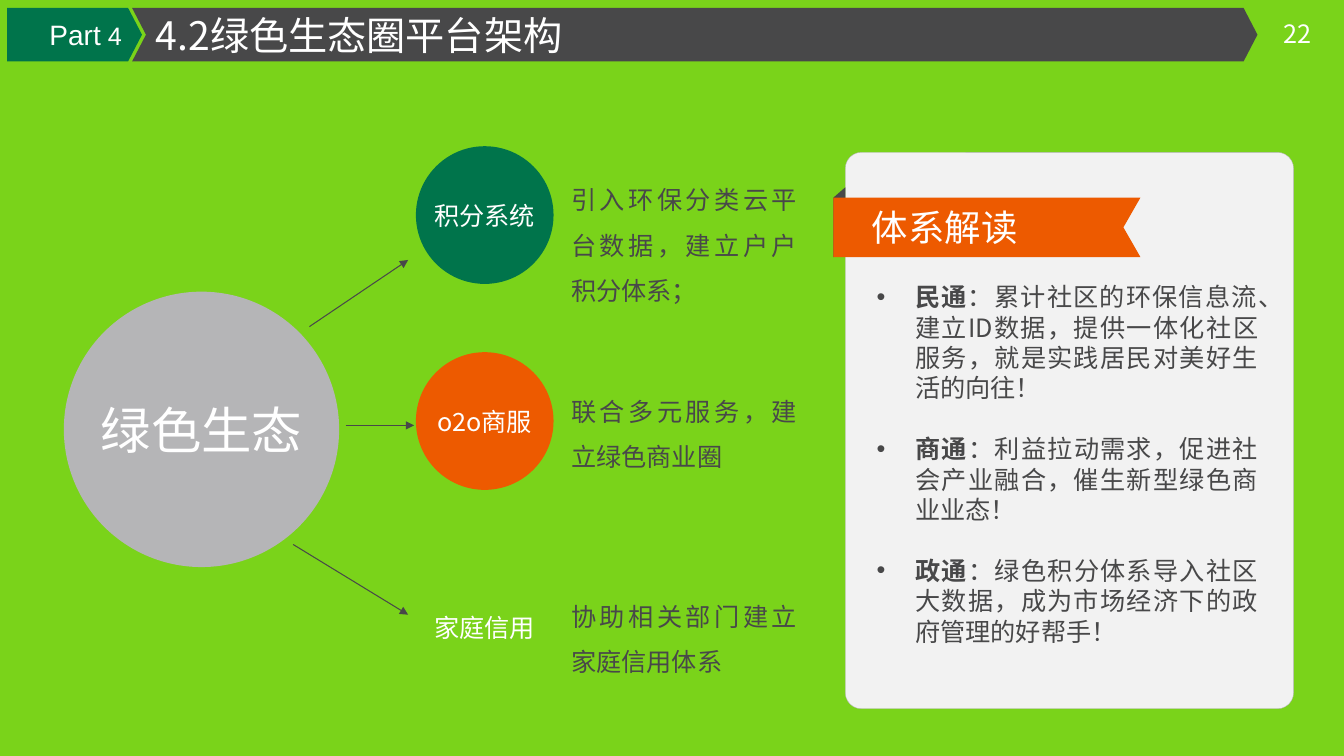
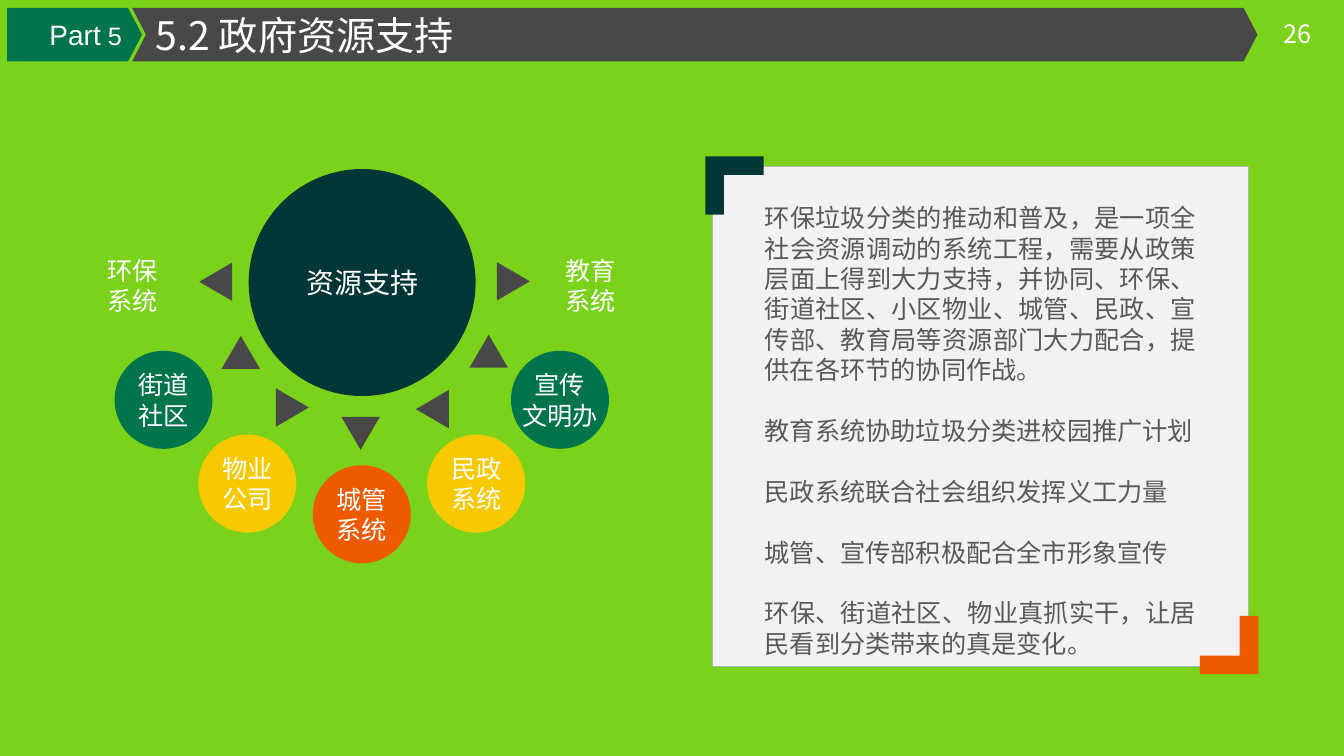
import math
from dataclasses import dataclass

from lxml import etree
from pptx import Presentation
from pptx import util as u
from pptx.dml.color import RGBColor
from pptx.enum import shapes, text
from pptx.oxml import ns

KIND = shapes.MSO_SHAPE
ALIGN = text.PP_ALIGN
ANCHOR = text.MSO_ANCHOR


@dataclass(frozen=True)
class Theme:
    background: str = "7AD31A"
    band: str = "484849"
    green: str = "00744B"
    orange: str = "ED5A00"
    yellow: str = "F9C900"
    deep: str = "003636"
    gray: str = "B5B5B7"
    paper: str = "F2F2F2"
    body: str = "595959"
    white: str = "FFFFFF"
    font: str = "Noto Sans CJK SC"
    latin: str = "Arial"
    hub: int = 36
    title: int = 28
    ribbon: int = 26
    label: int = 20
    text: int = 18
    line: float = 21.7
    loose_line: float = 32.5


THEME = Theme()


def assign(target, values):
    for name, value in values.items():
        setattr(target, name, value)


def write(shape, paragraphs, size=THEME.text, color=THEME.white, align=ALIGN.CENTER,
          anchor=ANCHOR.MIDDLE, wrap=True, margins=(0, 0, 0, 0), line=None, gap=0,
          bullet=False):
    frame = shape.text_frame
    left, top, right, bottom = (u.Cm(margin) for margin in margins)
    assign(frame, dict(word_wrap=wrap, auto_size=text.MSO_AUTO_SIZE.NONE,
                       vertical_anchor=anchor, margin_left=left, margin_top=top,
                       margin_right=right, margin_bottom=bottom))
    for index, runs in enumerate(paragraphs):
        paragraph = frame.paragraphs[0] if index == 0 else frame.add_paragraph()
        paragraph.alignment = align
        if line:
            paragraph.line_spacing = u.Pt(line)
        if gap and index:
            paragraph.space_before = u.Pt(gap)
        if bullet:
            add_bullet(paragraph)
        for content, changes in ([(runs, {})] if isinstance(runs, str) else runs):
            run = paragraph.add_run()
            run.text = content
            assign(run.font, dict(name=THEME.font, size=u.Pt(size)) | changes)
            run.font.color.rgb = RGBColor.from_string(color)
            east_asian = etree.SubElement(run._r.get_or_add_rPr(), ns.qn("a:ea"))
            east_asian.set("typeface", run.font.name)


def add_bullet(paragraph):
    properties = paragraph._p.get_or_add_pPr()
    properties.set("marL", str(u.Cm(0.97)))
    properties.set("indent", str(u.Cm(-0.97)))
    etree.SubElement(properties, ns.qn("a:buFont")).set("typeface", THEME.latin)
    etree.SubElement(properties, ns.qn("a:buChar")).set("char", "•")


def paint(shape, fill, outline=None, width=0.75):
    shape.shadow.inherit = False
    shape.fill.solid()
    shape.fill.fore_color.rgb = RGBColor.from_string(fill)
    if outline:
        shape.line.color.rgb = RGBColor.from_string(outline)
        shape.line.width = u.Pt(width)
    else:
        shape.line.fill.background()
    return shape


def add_shape(slide, kind, box, fill, adjustments=(), rotation=0, **outline):
    shape = slide.shapes.add_shape(kind, *map(u.Cm, box))
    for index, value in enumerate(adjustments):
        shape.adjustments[index] = value
    shape.rotation = rotation
    return paint(shape, fill, **outline)


def add_centered(slide, kind, center, size, fill, rotation=0):
    (x, y), (width, height) = center, size
    box = (x - width / 2, y - height / 2, width, height)
    return add_shape(slide, kind, box, fill, rotation=rotation)


def add_circle(slide, center, diameter, fill, lines, size=THEME.text):
    circle = add_centered(slide, KIND.OVAL, center, (diameter, diameter), fill)
    write(circle, lines, size=size, wrap=False,
          line=THEME.line if len(lines) > 1 else None)


def add_polygon(slide, points, fill):
    start, *rest = [(u.Cm(x), u.Cm(y)) for x, y in points]
    builder = slide.shapes.build_freeform(*start)
    builder.add_line_segments(rest, close=True)
    return paint(builder.convert_to_shape(), fill)


def add_bracket(slide, corner, direction, fill):
    x, y = corner
    long, short = 1.47 * direction, 0.47 * direction
    add_polygon(slide, [(x, y), (x + long, y), (x + long, y + short),
                        (x + short, y + short), (x + short, y + long), (x, y + long)], fill)


def add_text(slide, box, paragraphs, **style):
    write(slide.shapes.add_textbox(*map(u.Cm, box)), paragraphs, **style)


def add_arrow(slide, start, end):
    arrow = slide.shapes.add_connector(
        shapes.MSO_CONNECTOR.STRAIGHT, *map(u.Cm, start + end))
    arrow.line.color.rgb = RGBColor.from_string(THEME.band)
    arrow.line.width = u.Pt(0.75)
    outline = arrow._element.spPr.find(ns.qn("a:ln"))
    etree.SubElement(outline, ns.qn("a:tailEnd")).set("type", "triangle")
    etree.SubElement(arrow._element.spPr, ns.qn("a:effectLst"))


def add_slide(presentation, part, title, number):
    slide = presentation.slides.add_slide(presentation.slide_layouts[5])
    add_shape(slide, KIND.CHEVRON, (3.33, 0.2, 28.37, 1.35), THEME.band, [0.26])
    tag = add_shape(slide, KIND.PENTAGON, (0.18, 0.2, 3.4, 1.35), THEME.green, [0.26])
    write(tag, [[("Part", dict(name=THEME.latin, size=u.Pt(THEME.label))),
                 (f" {part}", dict(name=THEME.latin))]],
          align=ALIGN.RIGHT, margins=(0, 0, 0.33, 0))
    add_text(slide, (32.03, 0.33, 1.37, 1.02), [number], wrap=False)
    heading = slide.shapes.title
    assign(heading, dict(left=u.Cm(3.68), top=u.Cm(0.13), width=u.Cm(14), height=u.Cm(1.52)))
    write(heading, [title], size=THEME.title, align=ALIGN.LEFT, margins=(0.25, 0, 0.25, 0))
    slide.shapes._spTree.append(heading._element)
    return slide


def build_platform(presentation):
    slide = add_slide(presentation, 4, "4.2绿色生态圈平台架构", "22")
    add_circle(slide, (5.08, 10.82), 6.94, THEME.gray, ["绿色生态"], THEME.hub)
    branches = [
        ("积分系统", THEME.green, 4.14, "引入环保分类云平台数据，建立户户积分体系；"),
        ("o2o商服", THEME.orange, 9.47, "联合多元服务，建立绿色商业圈"),
        ("家庭信用", THEME.background, 14.63, "协助相关部门建立家庭信用体系"),
    ]
    for index, (name, fill, top, description) in enumerate(branches):
        add_circle(slide, (12.22, 5.42 + 5.19 * index), 3.47, fill, [name])
        add_text(slide, (14.15, top, 6.2, 3.68), [description], color=THEME.band,
                 align=ALIGN.JUSTIFY, anchor=ANCHOR.TOP, line=THEME.loose_line,
                 margins=(0.25, 0.13, 0.25, 0.13))
    for start, end in [((8.71, 10.72), (10.44, 10.72)),
                       ((7.8, 8.23), (10.29, 6.55)),
                       ((7.39, 13.72), (10.29, 15.49))]:
        add_arrow(slide, start, end)

    card = add_shape(slide, KIND.ROUNDED_RECTANGLE, (21.31, 3.84, 11.3, 14.02),
                     THEME.paper, [0.036], outline=THEME.gray, width=0.25)
    bold, plain = dict(bold=True), dict(bold=False)
    readings = [
        ("民通", "：累计社区的环保信息流、建立ID数据，提供一体化社区服务，就是实践居民对美好生活的向往！"),
        ("商通", "：利益拉动需求，促进社会产业融合，催生新型绿色商业业态！"),
        ("政通", "：绿色积分体系导入社区大数据，成为市场经济下的政府管理的好帮手！"),
    ]
    write(card, [[(name, bold), (reading, plain)] for name, reading in readings],
          color=THEME.band, align=ALIGN.JUSTIFY, anchor=ANCHOR.TOP, line=THEME.line,
          gap=THEME.line, bullet=True, margins=(0.67, 3.13, 0.77, 0))
    add_polygon(slide, [(21.31, 4.72), (21.01, 4.98), (21.01, 6.48), (21.31, 6.25)],
                THEME.band)
    ribbon = add_polygon(slide, [(28.75, 4.98), (21.01, 4.98), (21.01, 6.48),
                                 (28.75, 6.48), (28.32, 5.73)], THEME.orange)
    write(ribbon, ["体系解读"], size=THEME.ribbon, align=ALIGN.LEFT, margins=(0.97, 0, 0, 0))


def build_resources(presentation):
    slide = add_slide(presentation, 5, "5.2 政府资源支持", "26")
    pointers = [((5.44, 7.1), 270), ((6.07, 8.88), 0), ((7.37, 10.27), 90),
                ((9.09, 10.92), 180), ((10.9, 10.31), 270), ((12.32, 8.85), 0),
                ((12.94, 7.09), 90)]
    for center, rotation in pointers:
        add_centered(slide, KIND.ISOSCELES_TRIANGLE, center, (0.97, 0.83), THEME.band, rotation)
    add_circle(slide, (9.13, 7.12), 5.72, THEME.deep, ["资源支持"], THEME.label)
    departments = [
        (["教育", "系统"], THEME.background), (["宣传", "文明办"], THEME.green),
        (["民政", "系统"], THEME.yellow), (["城管", "系统"], THEME.orange),
        (["物业", "公司"], THEME.yellow), (["街道", "社区"], THEME.green),
        (["环保", "系统"], THEME.background),
    ]
    for index, (lines, fill) in enumerate(departments):
        angle = math.radians(30 * index)
        center = (9.12 + 5.77 * math.cos(angle), 7.19 + 5.77 * math.sin(angle))
        add_circle(slide, center, 2.47, fill, lines)

    panel = add_shape(slide, KIND.RECTANGLE, (17.96, 4.19, 13.51, 12.6), THEME.paper,
                      outline=THEME.gray)
    write(panel, [
        "环保垃圾分类的推动和普及，是一项全社会资源调动的系统工程，需要从政策层面上得到大力支持，"
        "并协同、环保、街道社区、小区物业、城管、民政、宣传部、教育局等资源部门大力配合，"
        "提供在各环节的协同作战。",
        "教育系统协助垃圾分类进校园推广计划",
        "民政系统联合社会组织发挥义工力量",
        "城管、宣传部积极配合全市形象宣传",
        "环保、街道社区、物业真抓实干，让居民看到分类带来的真是变化。",
    ], color=THEME.body, align=ALIGN.JUSTIFY, anchor=ANCHOR.TOP, line=THEME.line,
        gap=THEME.line, margins=(1.32, 0.91, 1.32, 0))
    add_bracket(slide, (17.78, 3.94), 1, THEME.deep)
    add_bracket(slide, (31.72, 16.99), -1, THEME.orange)


def main():
    presentation = Presentation()
    assign(presentation, dict(slide_width=u.Cm(33.88), slide_height=u.Cm(19.05)))
    background = presentation.slide_master.background.fill
    background.solid()
    background.fore_color.rgb = RGBColor.from_string(THEME.background)
    build_platform(presentation)
    build_resources(presentation)
    presentation.save("out.pptx")


if __name__ == "__main__":
    main()
